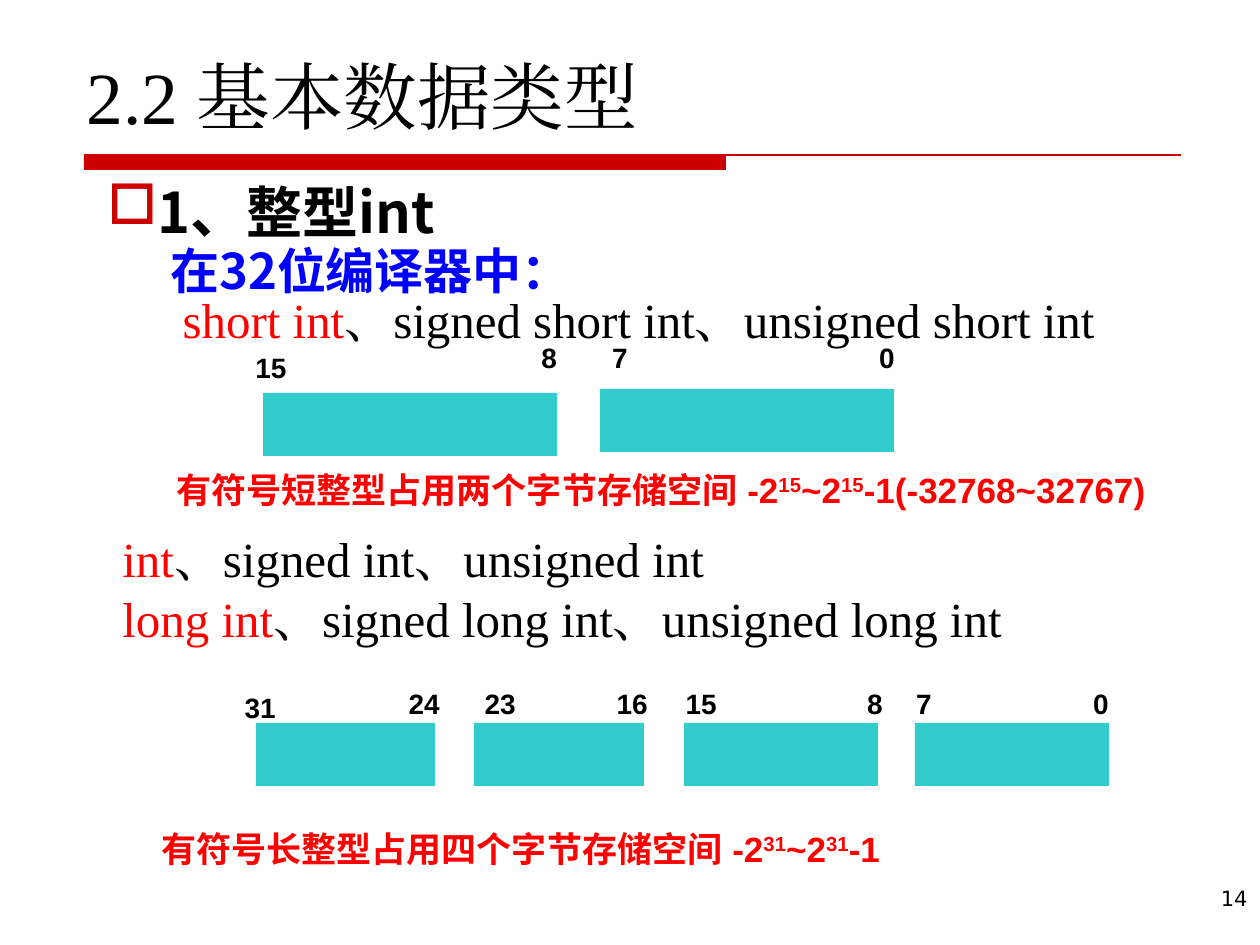
import pptx
import pptx.util
import pptx.dml.color
import pptx.enum.shapes
import pptx.enum.text
import pptx.oxml.ns
import lxml.etree

PX = 914400 / 126
COLORS = {"black": "000000", "rule": "CC0000", "red": "FF0000", "blue": "0000FF", "byte": "33CCCC"}
SERIF, SANS, CJK, NUMBER = "Times New Roman", "Arial", "Noto Sans CJK SC", "DejaVu Sans"
ALIGN = pptx.enum.text.PP_ALIGN
ANCHOR = pptx.enum.text.MSO_ANCHOR

TITLE = "2.2 基本数据类型"
PAGE = "14"
HEADING = [("1、整型int", "black")]
COMPILER = [("在32位编译器中：", "blue")]
SHORT_TYPES = [(" ", "black"), ("short int", "red"), ("、signed short int、unsigned short int", "black")]
LONG_TYPES = [
    [("int", "red"), ("、signed int、unsigned int", "black")],
    [("long int", "red"), ("、signed long int、unsigned long int", "black")],
]
NOTES = [
    (164, 462, 1012, "有符号短整型占用两个字节存储空间 -2", "15", "-1(-32768~32767)"),
    (149, 821, 1012, "有符号长整型占用四个字节存储空间 -2", "31", "-1"),
]
BYTES = [
    (263, 393, 294), (600, 389, 294),
    (256, 723, 179), (474, 723, 170), (684, 723, 194), (915, 723, 194),
]
BYTE_HEIGHT = 63
BITS = [
    ("15", 271, 344), ("8", 549, 334), ("7", 620, 334), ("0", 887, 334),
    ("31", 260, 684), ("24", 424, 680), ("23", 500, 680), ("16", 632, 680),
    ("15", 701, 680), ("8", 875, 680), ("7", 924, 680), ("0", 1101, 680),
]
BIT_WIDTH, BIT_HEIGHT = 57, 47


def emu(*lengths):
    return [pptx.util.Emu(round(length * PX)) for length in lengths]


def rgb(name):
    return pptx.dml.color.RGBColor.from_string(COLORS[name])


def add_bar(slide, box, color):
    bar = slide.shapes.add_shape(pptx.enum.shapes.MSO_SHAPE.RECTANGLE, *emu(*box))
    bar.shadow.inherit = False
    bar.fill.solid()
    bar.fill.fore_color.rgb = rgb(color)
    bar.line.fill.background()


def add_frame(slide, box, anchor=ANCHOR.TOP, wrap=True):
    frame = slide.shapes.add_textbox(*emu(*box)).text_frame
    frame.word_wrap = wrap
    frame.vertical_anchor = anchor
    return frame


def add_line(frame, runs, font, size, bold=False, align=ALIGN.LEFT, pitch=None, indent=0, bullet=None):
    first = frame.paragraphs[0]
    line = frame.add_paragraph() if first.runs else first
    line.alignment = align
    if pitch:
        line.line_spacing = pptx.util.Pt(pitch)
    properties = line._p.get_or_add_pPr()
    properties.set("marL", str(emu(indent)[0]))
    properties.set("indent", "0")
    if bullet:
        tint = lxml.etree.SubElement(properties, pptx.oxml.ns.qn("a:buClr"))
        lxml.etree.SubElement(tint, pptx.oxml.ns.qn("a:srgbClr"), val=COLORS["rule"])
        lxml.etree.SubElement(properties, pptx.oxml.ns.qn("a:buChar"), char=bullet)
    for text, color, *raised in runs:
        run = line.add_run()
        run.text = text
        run.font.name = font
        run.font.size = pptx.util.Pt(size)
        run.font.bold = bold
        run.font.color.rgb = rgb(color)
        style = run._r.get_or_add_rPr()
        lxml.etree.SubElement(style, pptx.oxml.ns.qn("a:ea"), typeface=font)
        if raised:
            style.set("baseline", "30000")


def add_rule(slide):
    add_bar(slide, (84, 155, 642, 15), "rule")
    rule = slide.shapes.add_connector(pptx.enum.shapes.MSO_CONNECTOR.STRAIGHT, *emu(84, 155, 1181, 155))
    rule.line.color.rgb = rgb("rule")
    rule.line.width = pptx.util.Pt(0.75)
    lxml.etree.SubElement(rule._element.spPr, pptx.oxml.ns.qn("a:effectLst"))


def main():
    deck = pptx.Presentation()
    deck.slide_width, deck.slide_height = emu(1260, 945)
    slide = deck.slides.add_slide(deck.slide_layouts[6])

    add_rule(slide)
    add_line(add_frame(slide, (990, 879, 270, 65)), [(PAGE, "black")], NUMBER, 12, align=ALIGN.RIGHT)

    short_section = add_frame(slide, (95, 175, 1260, 139))
    add_line(short_section, HEADING, CJK, 32, bold=True, pitch=36.5, bullet="□")
    add_line(short_section, COMPILER, CJK, 28, bold=True, pitch=31, indent=63)
    add_line(short_section, SHORT_TYPES, SERIF, 28, pitch=28, indent=63)

    long_section = add_frame(slide, (110, 522, 1150, 348))
    for types in LONG_TYPES:
        add_line(long_section, types, SERIF, 28, pitch=34)

    for left, top, width in BYTES:
        add_bar(slide, (left, top, width, BYTE_HEIGHT), "byte")
    for bit, center, top in BITS:
        label = add_frame(slide, (center - BIT_WIDTH / 2, top, BIT_WIDTH, BIT_HEIGHT), ANCHOR.MIDDLE, False)
        add_line(label, [(bit, "black")], SANS, 16, bold=True, align=ALIGN.CENTER)

    for left, top, width, sentence, power, ending in NOTES:
        runs = [(sentence, "red"), (power, "red", True), ("~2", "red"), (power, "red", True), (ending, "red")]
        add_line(add_frame(slide, (left, top, width, 54)), runs, SANS, 20, bold=True, pitch=24)

    title = add_frame(slide, (74, 67, 1103, 78), ANCHOR.BOTTOM)
    add_line(title, [(TITLE, "black")], SERIF, 42)

    deck.save("out.pptx")


if __name__ == "__main__":
    main()
